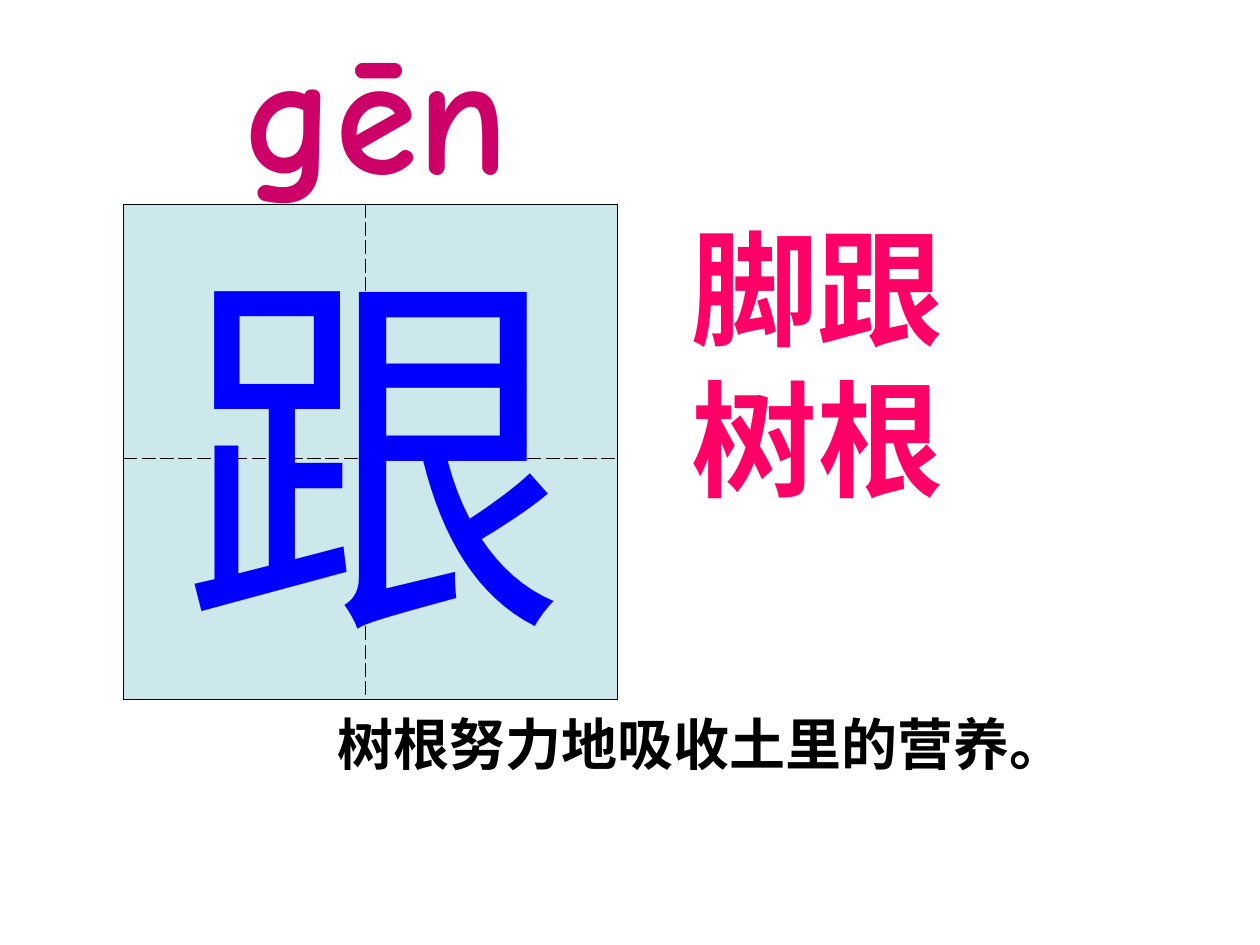
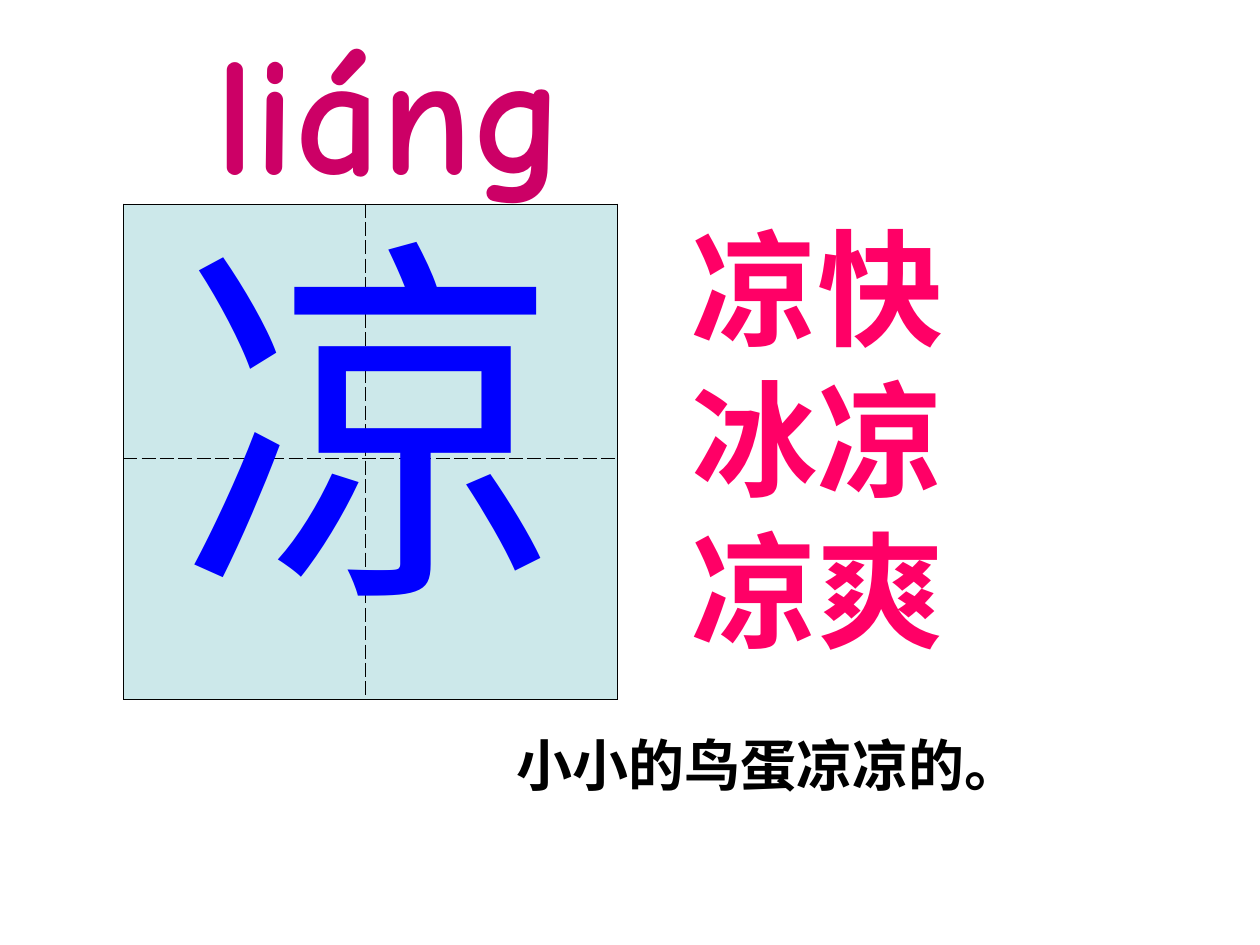
from dataclasses import dataclass

from lxml import etree
from pptx import Presentation
from pptx.dml.color import RGBColor
from pptx.enum.text import MSO_ANCHOR, MSO_AUTO_SIZE
from pptx.oxml.ns import qn
from pptx.slide import Slide
from pptx.table import _Cell
from pptx.util import Cm, Pt

TOP = MSO_ANCHOR.TOP
GROW = MSO_AUTO_SIZE.SHAPE_TO_FIT_TEXT

COLORS = {
    "square": "CCE8EA",
    "grid": "000000",
    "pinyin": "CC0066",
    "character": "0000FF",
    "words": "FF0066",
    "sentence": "000000",
}

# Practice square, in centimetres
SQUARE_LEFT, SQUARE_TOP = 2.49, 4.11
COLUMN_WIDTHS = (4.88, 5.08)
ROW_HEIGHTS = (5.13, 4.85)
GRID_WIDTH = Pt(0.45)


@dataclass(frozen=True)
class TextStyle:
    color: str
    size: int
    font: str = "Arial"
    bold: bool = True
    wrap: bool = True


@dataclass(frozen=True)
class Box:
    """Position and size in centimetres."""
    left: float
    top: float
    width: float
    height: float


@dataclass(frozen=True)
class CharacterCard:
    pinyin: str
    pinyin_left: float
    character: str
    character_left: float
    character_top: float
    words: tuple[str, ...]
    sentence: str
    sentence_box: Box


PINYIN = TextStyle("pinyin", 96, font="Comic Neue")
CHARACTER = TextStyle("character", 220, bold=False, wrap=False)
WORDS = TextStyle("words", 72)
SENTENCE = TextStyle("sentence", 32)

CARDS = (
    CharacterCard("gēn", 4.65, "跟", 3.4, 4.19, ("脚跟", "树根"),
                  "树根努力地吸收土里的营养。", Box(6.55, 14.17, 16.92, 1.63)),
    CharacterCard("liáng", 4.09, "凉", 3.38, 3.53, ("凉快", "冰凉", "凉爽"),
                  "小小的鸟蛋凉凉的。", Box(10.16, 14.61, 14.81, 1.63)),
)


def add_text(slide: Slide, box: Box, lines: tuple[str, ...], style: TextStyle) -> None:
    frame = slide.shapes.add_textbox(
        Cm(box.left), Cm(box.top), Cm(box.width), Cm(box.height)).text_frame
    frame.word_wrap = style.wrap
    frame.auto_size = GROW
    frame.vertical_anchor = TOP
    frame.text = "\n".join(lines)
    for paragraph in frame.paragraphs:
        font = paragraph.font
        font.name = style.font
        font.size = Pt(style.size)
        font.bold = style.bold
        font.color.rgb = RGBColor.from_string(COLORS[style.color])


def add_border(cell: _Cell, side: str, dash: str) -> None:
    properties = cell._tc.get_or_add_tcPr()
    line = etree.SubElement(properties, qn(f"a:ln{side}"), w=str(int(GRID_WIDTH)))
    fill = etree.SubElement(line, qn("a:solidFill"))
    etree.SubElement(fill, qn("a:srgbClr"), val=COLORS["grid"])
    etree.SubElement(line, qn("a:prstDash"), val=dash)


def add_practice_square(slide: Slide) -> None:
    """Two by two grid: solid outside, dashed inside."""
    table = slide.shapes.add_table(
        2, 2, Cm(SQUARE_LEFT), Cm(SQUARE_TOP),
        Cm(sum(COLUMN_WIDTHS)), Cm(sum(ROW_HEIGHTS))).table
    table.first_row = table.horz_banding = False
    for column, width in zip(table.columns, COLUMN_WIDTHS):
        column.width = Cm(width)
    for r, height in enumerate(ROW_HEIGHTS):
        table.rows[r].height = Cm(height)
        for c in range(len(COLUMN_WIDTHS)):
            cell = table.cell(r, c)
            outer_sides = ("LR"[c], "TB"[r])
            for side in "LRTB":
                add_border(cell, side, "solid" if side in outer_sides else "dash")
            cell.fill.solid()
            cell.fill.fore_color.rgb = RGBColor.from_string(COLORS["square"])


def add_card(slide: Slide, card: CharacterCard) -> None:
    add_practice_square(slide)
    add_text(slide, Box(card.pinyin_left, 0, 10.92, 4.32), (card.pinyin,), PINYIN)
    add_text(slide, Box(card.character_left, card.character_top, 8.26, 9.58),
             (card.character,), CHARACTER)
    words_height = 0.25 + 3.05 * len(card.words)
    add_text(slide, Box(13.69, SQUARE_TOP, 10.8, words_height), card.words, WORDS)
    add_text(slide, card.sentence_box, (card.sentence,), SENTENCE)


def main() -> None:
    presentation = Presentation()
    presentation.slide_width = Cm(25.4)
    presentation.slide_height = Cm(19.05)
    blank = presentation.slide_layouts[6]
    for card in CARDS:
        add_card(presentation.slides.add_slide(blank), card)
    presentation.save("out.pptx")


if __name__ == "__main__":
    main()
